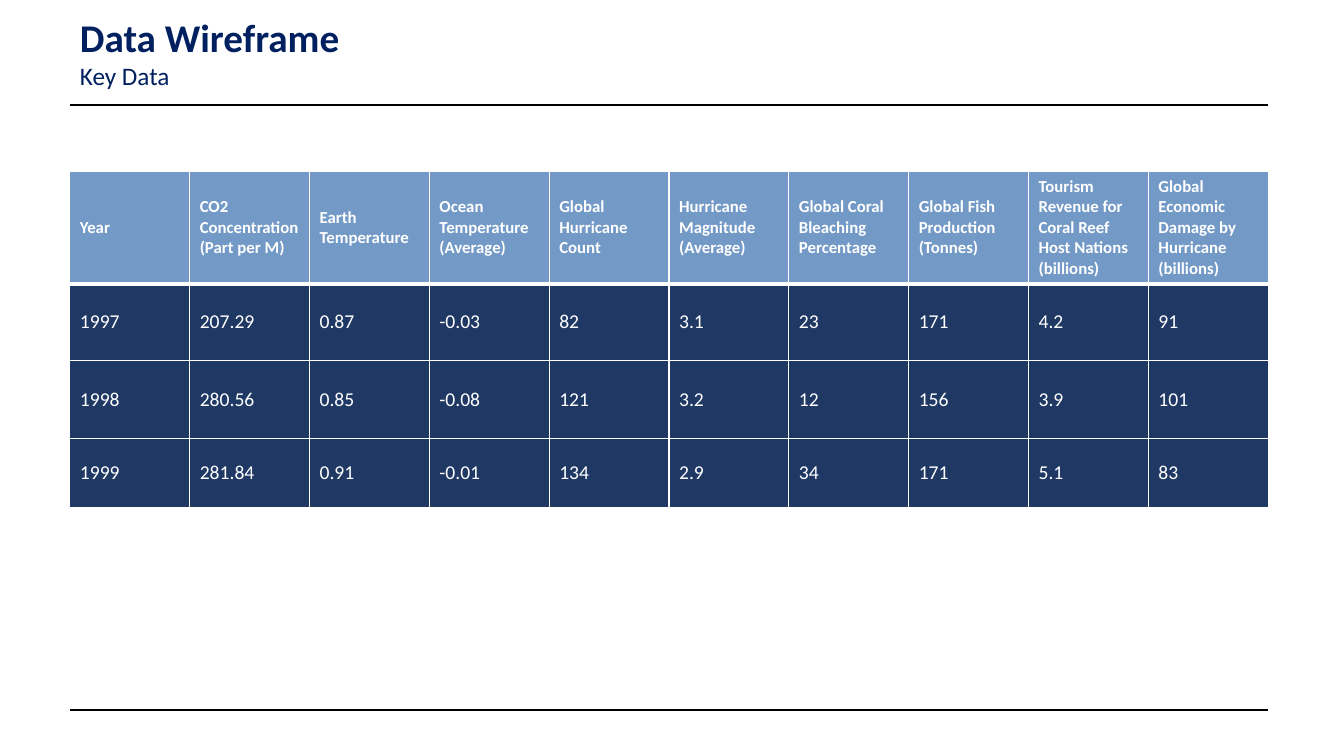
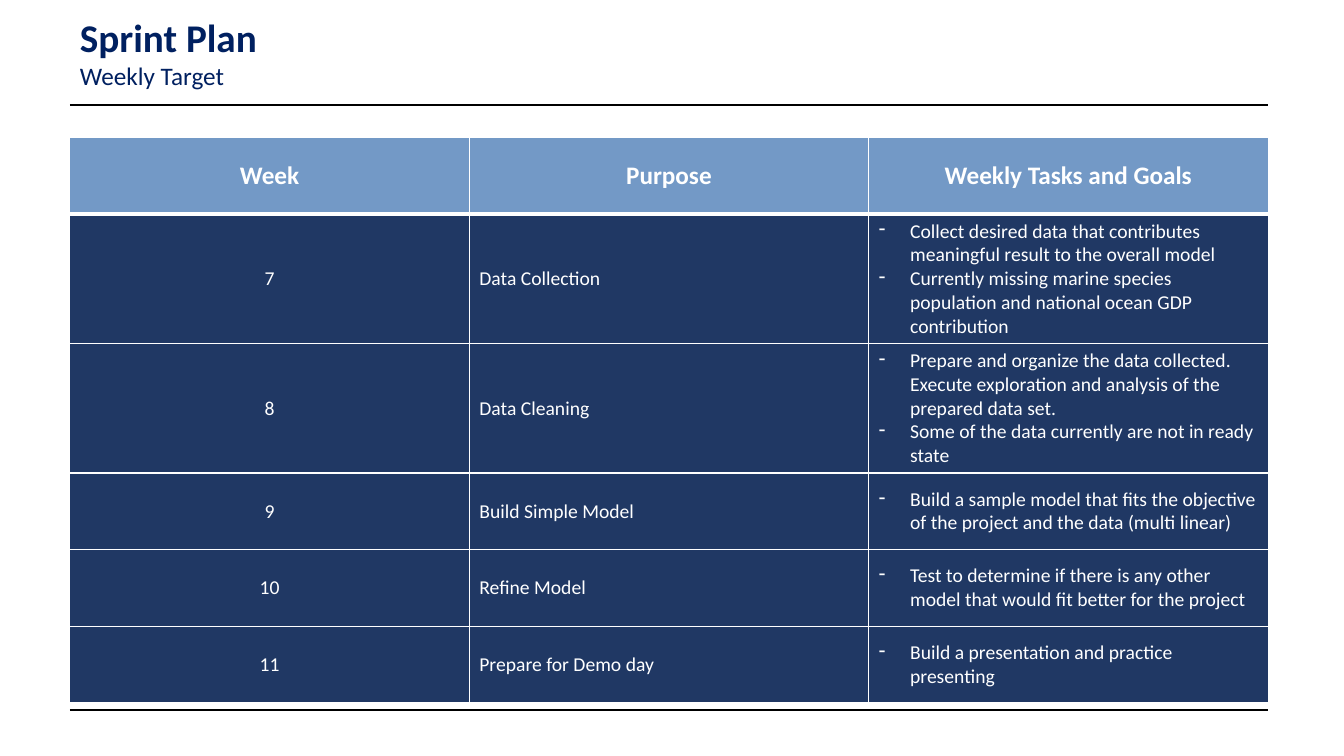
from dataclasses import dataclass

from lxml.etree import SubElement
from pptx import Presentation
from pptx.dml.color import RGBColor
from pptx.enum.shapes import MSO_CONNECTOR
from pptx.enum.text import MSO_ANCHOR, MSO_AUTO_SIZE, PP_ALIGN
from pptx.oxml.ns import qn
from pptx.util import Cm, Pt


@dataclass(frozen=True)
class Theme:
    """Colours, font and type sizes shared by the slides."""
    font: str = "Calibri"
    title: str = "002060"
    rule: str = "000000"
    header: str = "7399C6"
    body: str = "203864"
    light: str = "FFFFFF"
    title_pt: int = 28
    subtitle_pt: int = 18
    body_pt: int = 14
    rule_pt: float = 1.5
    grid_pt: int = 1
    divider_pt: int = 3


@dataclass(frozen=True)
class Box:
    """A region of the slide in EMU."""
    x: int
    y: int
    w: int
    h: int = 0


T = Theme()
LEFT, WIDTH = Cm(1.76), Cm(30.2)
TITLE_BOX = Box(LEFT, Cm(0.2), Cm(13), Cm(2.24))
RULES = [Box(LEFT, y, WIDTH) for y in (Cm(2.64), Cm(17.88))]

KEY_DATA = [
    ["Year", "CO2 Concentration\n(Part per M)", "Earth Temperature",
     "Ocean Temperature\n(Average)", "Global Hurricane Count",
     "Hurricane Magnitude\n(Average)", "Global Coral Bleaching Percentage",
     "Global Fish Production\n(Tonnes)",
     "Tourism Revenue for Coral Reef Host Nations\n(billions)",
     "Global Economic Damage by Hurricane\n(billions)"],
    ["1997", "207.29", "0.87", "-0.03", "82", "3.1", "23", "171", "4.2", "91"],
    ["1998", "280.56", "0.85", "-0.08", "121", "3.2", "12", "156", "3.9", "101"],
    ["1999", "281.84", "0.91", "-0.01", "134", "2.9", "34", "171", "5.1", "83"],
]

SPRINTS = [
    ["Week", "Purpose", "Weekly Tasks and Goals"],
    ["7", "Data Collection",
     "Collect desired data that contributes meaningful result to the overall model\n"
     "Currently missing marine species population and national ocean GDP contribution"],
    ["8", "Data Cleaning",
     "Prepare and organize the data collected. Execute exploration and analysis "
     "of the prepared data set.\n"
     "Some of the data currently are not in ready state"],
    ["9", "Build Simple Model",
     "Build a sample model that fits the objective of the project and the data "
     "(multi linear)"],
    ["10", "Refine Model",
     "Test to determine if there is any other model that would fit better for the project"],
    ["11", "Prepare for Demo day", "Build a presentation and practice presenting"],
]


def format_runs(p, size, color, bold=False):
    """Apply the theme font to every run of a paragraph."""
    for r in p.runs:
        r.font.name = T.font
        r.font.size = Pt(size)
        r.font.bold = bold
        r.font.color.rgb = RGBColor.from_string(color)


def add_rule(s, box):
    """Draw a horizontal rule along the top of the box."""
    line = s.shapes.add_connector(
        MSO_CONNECTOR.STRAIGHT, box.x, box.y, box.x + box.w, box.y)
    line.line.color.rgb = RGBColor.from_string(T.rule)
    line.line.width = Pt(T.rule_pt)
    SubElement(line._element.spPr, qn("a:effectLst"))


def add_heading(s, box, title, subtitle):
    """Place the title placeholder with its subtitle line."""
    sp = s.shapes.title
    sp.left, sp.top, sp.width, sp.height = box.x, box.y, box.w, box.h
    tf = sp.text_frame
    tf.text = f"{title}\n{subtitle}"
    tf.word_wrap = True
    tf.auto_size = MSO_AUTO_SIZE.NONE
    tf.vertical_anchor = MSO_ANCHOR.TOP
    for p, size, bold in zip(tf.paragraphs, (T.title_pt, T.subtitle_pt), (True, False)):
        p.alignment = PP_ALIGN.LEFT
        format_runs(p, size, T.title, bold)


def set_borders(cell, top, bottom):
    """Give a cell white borders, with top and bottom widths in points."""
    tcPr = cell._tc.get_or_add_tcPr()
    for side, width in zip("LRTB", (T.grid_pt, T.grid_pt, top, bottom)):
        ln = SubElement(tcPr, qn(f"a:ln{side}"), w=str(Pt(width)))
        fill = SubElement(ln, qn("a:solidFill"))
        SubElement(fill, qn("a:srgbClr"), val=T.light)


def add_dash(p):
    """Turn a paragraph into a dash bullet with a hanging indent."""
    pPr = p._p.get_or_add_pPr()
    indent = Cm(0.79)
    pPr.set("marL", str(indent))
    pPr.set("indent", str(-indent))
    SubElement(pPr, qn("a:buChar"), char="-")


def add_grid(s, box, rows, heights, header_pt, header_align=PP_ALIGN.LEFT,
             centred=(), dashed=()):
    """Add a table of equal columns with a header row, inside the box."""
    n = len(rows[0])
    table = s.shapes.add_table(len(rows), n, box.x, box.y, box.w, sum(heights)).table
    table.horz_banding = False
    for col in table.columns:
        col.width = box.w // n
    for i, (values, height) in enumerate(zip(rows, heights)):
        table.rows[i].height = height
        head = i == 0
        for j, value in enumerate(values):
            cell = table.cell(i, j)
            set_borders(cell, T.divider_pt if i == 1 else T.grid_pt,
                        T.divider_pt if head else T.grid_pt)
            cell.fill.solid()
            cell.fill.fore_color.rgb = RGBColor.from_string(T.header if head else T.body)
            cell.vertical_anchor = MSO_ANCHOR.MIDDLE
            cell.text_frame.text = value
            for p in cell.text_frame.paragraphs:
                body_align = PP_ALIGN.CENTER if j in centred else PP_ALIGN.LEFT
                p.alignment = header_align if head else body_align
                format_runs(p, header_pt if head else T.body_pt, T.light, head)
                if j in dashed and not head:
                    add_dash(p)


def add_base(prs, title, subtitle):
    """Start a slide with the shared heading and rules."""
    s = prs.slides.add_slide(prs.slide_layouts[5])
    add_heading(s, TITLE_BOX, title, subtitle)
    for box in RULES:
        add_rule(s, box)
    return s


def add_data_slide(prs):
    """Build the key data slide."""
    s = add_base(prs, "Data Wireframe", "Key Data")
    heights = [Cm(h) for h in (2.59, 1.93, 1.96, 1.75)]
    add_grid(s, Box(LEFT, Cm(4.32), WIDTH), KEY_DATA, heights, header_pt=12)


def add_sprint_slide(prs):
    """Build the weekly sprint plan slide."""
    s = add_base(prs, "Sprint Plan", "Weekly Target")
    add_grid(s, Box(LEFT, Cm(3.47), WIDTH), SPRINTS, [Cm(1.93)] * len(SPRINTS),
             header_pt=18, header_align=PP_ALIGN.CENTER, centred=(0,), dashed=(2,))


def main():
    """Build and save the presentation."""
    prs = Presentation()
    prs.slide_width, prs.slide_height = Cm(33.87), Cm(19.05)
    add_data_slide(prs)
    add_sprint_slide(prs)
    prs.save("out.pptx")


if __name__ == "__main__":
    main()
